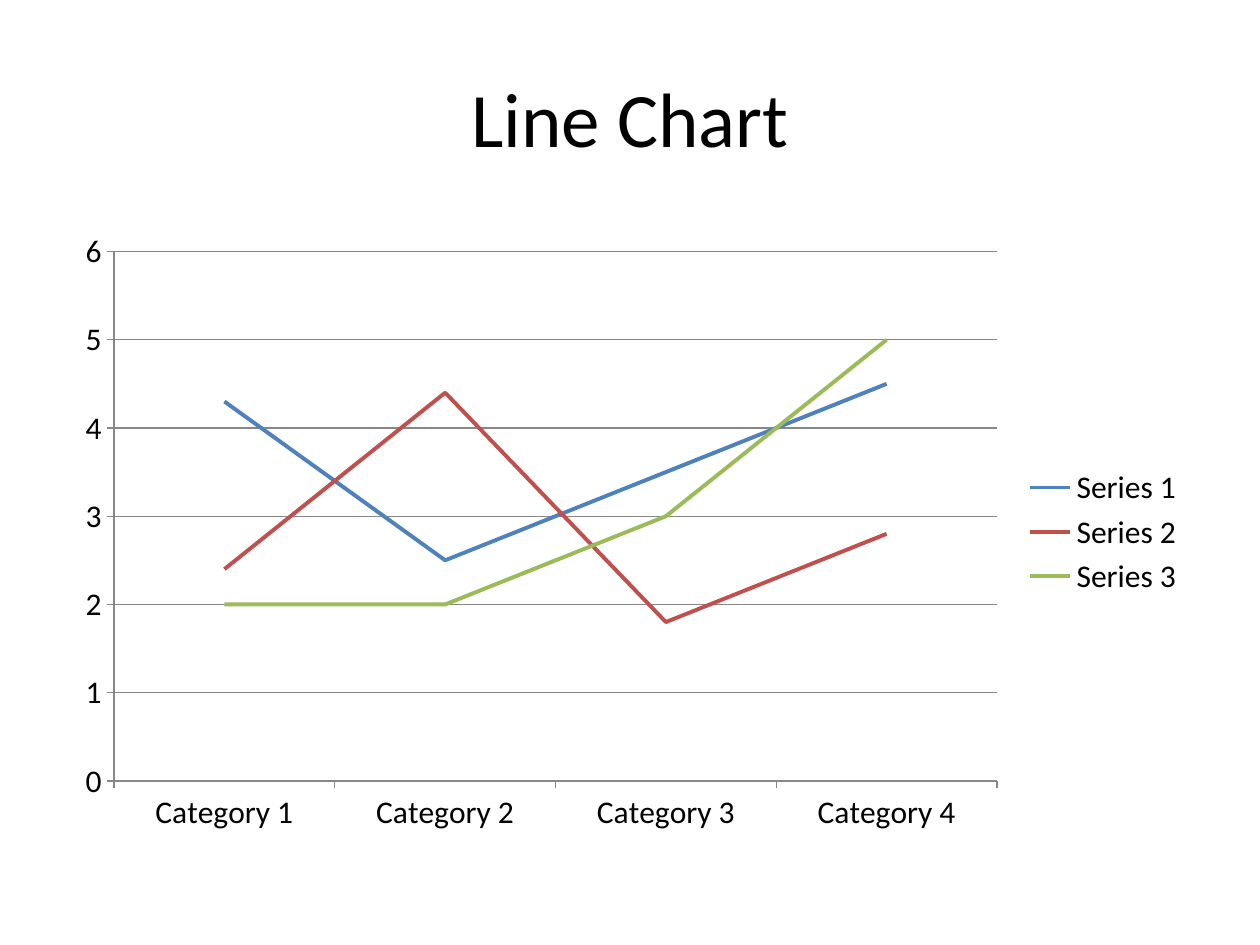
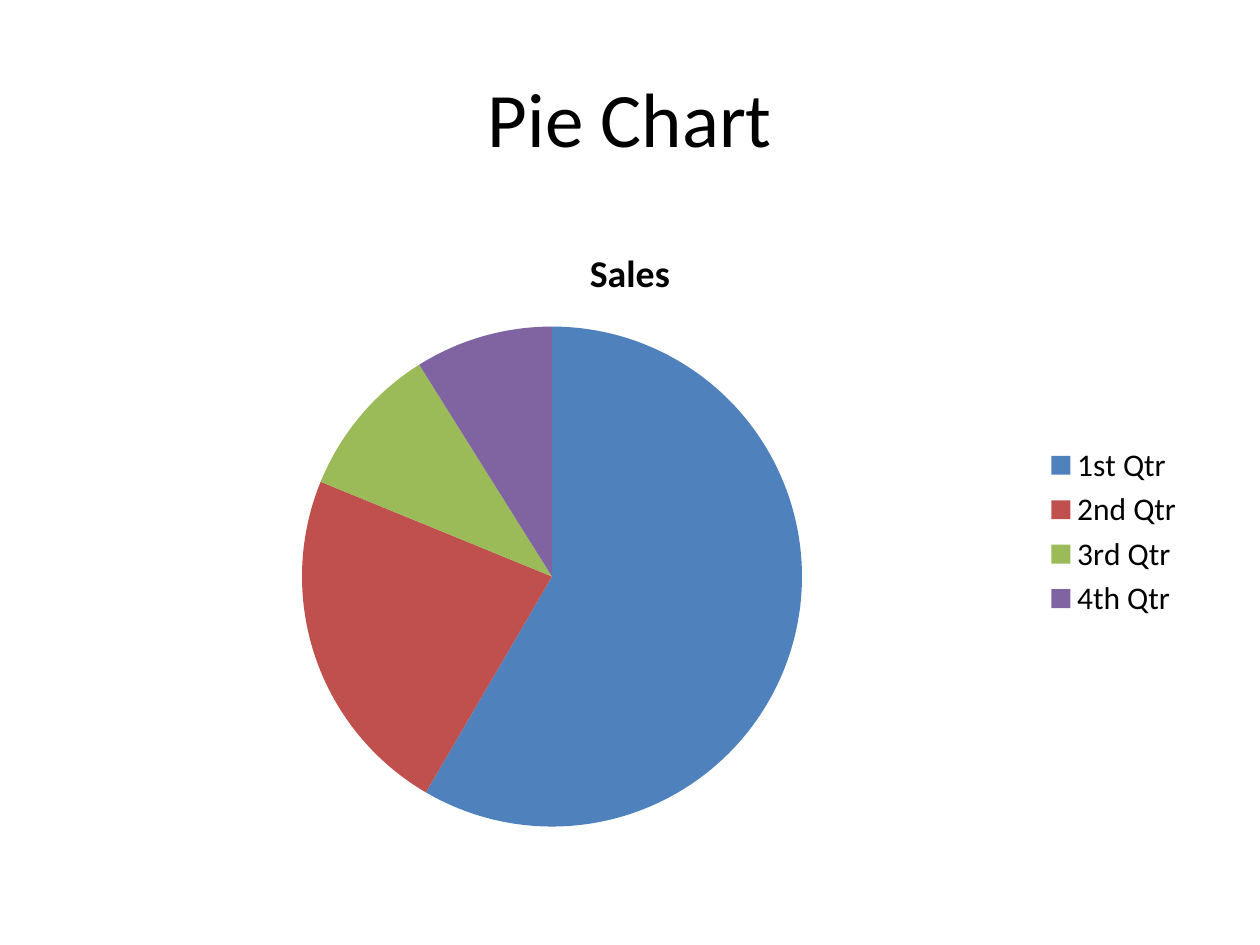
from dataclasses import dataclass
from typing import Any

from pptx import Presentation
from pptx.chart.chart import Chart
from pptx.chart.data import CategoryChartData
from pptx.dml.color import RGBColor
from pptx.enum.chart import XL_CHART_TYPE, XL_LEGEND_POSITION, XL_MARKER_STYLE, XL_TICK_MARK
from pptx.enum.text import MSO_ANCHOR, PP_ALIGN
from pptx.slide import Slide
from pptx.util import Emu, Pt

LINE, PIE = XL_CHART_TYPE.LINE, XL_CHART_TYPE.PIE
LEGEND_RIGHT = XL_LEGEND_POSITION.RIGHT
NO_MARKER = XL_MARKER_STYLE.NONE
TICK_OUTSIDE = XL_TICK_MARK.OUTSIDE
MIDDLE, CENTER = MSO_ANCHOR.MIDDLE, PP_ALIGN.CENTER

EMU_PER_PIXEL = 914400 / 126
FONT = "Calibri"
COLORS = {
    "background": "FFFFFF",
    "text": "000000",
    "axis": "878787",
    "blue": "4F81BD",
    "red": "C0504D",
    "green": "9BBB59",
    "purple": "8064A2",
}
PALETTE = ("blue", "red", "green", "purple")


@dataclass(frozen=True)
class Box:
    left: int
    top: int
    width: int
    height: int

    def emu(self) -> tuple[Emu, ...]:
        return tuple(pixels(n) for n in (self.left, self.top, self.width, self.height))


@dataclass(frozen=True)
class ChartSlide:
    title: str
    kind: XL_CHART_TYPE
    categories: tuple[str, ...]
    series: dict[str, tuple[float, ...]]
    chart_title: str = ""


TITLE_BOX = Box(63, 38, 1134, 157)
CHART_BOX = Box(63, 220, 1134, 624)

CHART_SLIDES = (
    ChartSlide(
        "Line Chart",
        LINE,
        tuple(f"Category {number}" for number in range(1, 5)),
        {
            "Series 1": (4.3, 2.5, 3.5, 4.5),
            "Series 2": (2.4, 4.4, 1.8, 2.8),
            "Series 3": (2, 2, 3, 5),
        },
    ),
    ChartSlide(
        "Pie Chart",
        PIE,
        ("1st Qtr", "2nd Qtr", "3rd Qtr", "4th Qtr"),
        {"Sales": (59, 23, 10, 9)},
        chart_title="Sales",
    ),
)


def pixels(count: int) -> Emu:
    return Emu(round(count * EMU_PER_PIXEL))


def color(name: str) -> RGBColor:
    return RGBColor.from_string(COLORS[name])


def apply(target: Any, **values: Any) -> None:
    for name, value in values.items():
        setattr(target, name, value)


def style_font(font: Any, size: float, bold: bool = False) -> None:
    apply(font, name=FONT, size=Pt(size), bold=bold)
    font.color.rgb = color("text")


def style_line(line: Any, color_name: str, width: float) -> None:
    line.color.rgb = color(color_name)
    line.width = Pt(width)


def add_title(slide: Slide, text: str) -> None:
    frame = slide.shapes.add_textbox(*TITLE_BOX.emu()).text_frame
    apply(frame, word_wrap=True, vertical_anchor=MIDDLE)
    paragraph = frame.paragraphs[0]
    apply(paragraph, text=text, alignment=CENTER)
    style_font(paragraph.runs[0].font, 44)


def style_line_chart(chart: Chart) -> None:
    for axis in (chart.category_axis, chart.value_axis):
        axis.major_tick_mark = TICK_OUTSIDE
        style_line(axis.format.line, "axis", 0.75)
    apply(chart.value_axis, minimum_scale=0, maximum_scale=6, major_unit=1,
          has_major_gridlines=True)
    style_line(chart.value_axis.major_gridlines.format.line, "axis", 0.75)
    for series, color_name in zip(chart.plots[0].series, PALETTE):
        series.smooth = False
        series.marker.style = NO_MARKER
        style_line(series.format.line, color_name, 2.25)


def style_pie_chart(chart: Chart) -> None:
    plot = chart.plots[0]
    plot.vary_by_categories = True
    series = plot.series[0]
    for index, color_name in enumerate(PALETTE):
        fill = series.points[index].format.fill
        fill.solid()
        fill.fore_color.rgb = color(color_name)


def add_chart(slide: Slide, content: ChartSlide) -> None:
    data = CategoryChartData()
    data.categories = content.categories
    for name, values in content.series.items():
        data.add_series(name, values)
    chart = slide.shapes.add_chart(content.kind, *CHART_BOX.emu(), data).chart

    # Text, legend and heading
    style_font(chart.font, 18)
    apply(chart, has_legend=True, has_title=bool(content.chart_title))
    apply(chart.legend, position=LEGEND_RIGHT, include_in_layout=False)
    if content.chart_title:
        frame = chart.chart_title.text_frame
        frame.text = content.chart_title
        style_font(frame.paragraphs[0].runs[0].font, 21.6, bold=True)

    # Plot
    if content.kind == LINE:
        style_line_chart(chart)
    else:
        style_pie_chart(chart)


def main() -> None:
    presentation = Presentation()
    apply(presentation, slide_width=pixels(1260), slide_height=pixels(945))
    blank_layout = presentation.slide_layouts[6]
    for content in CHART_SLIDES:
        slide = presentation.slides.add_slide(blank_layout)
        background = slide.background.fill
        background.solid()
        background.fore_color.rgb = color("background")
        add_title(slide, content.title)
        add_chart(slide, content)
    presentation.save("out.pptx")


main()
